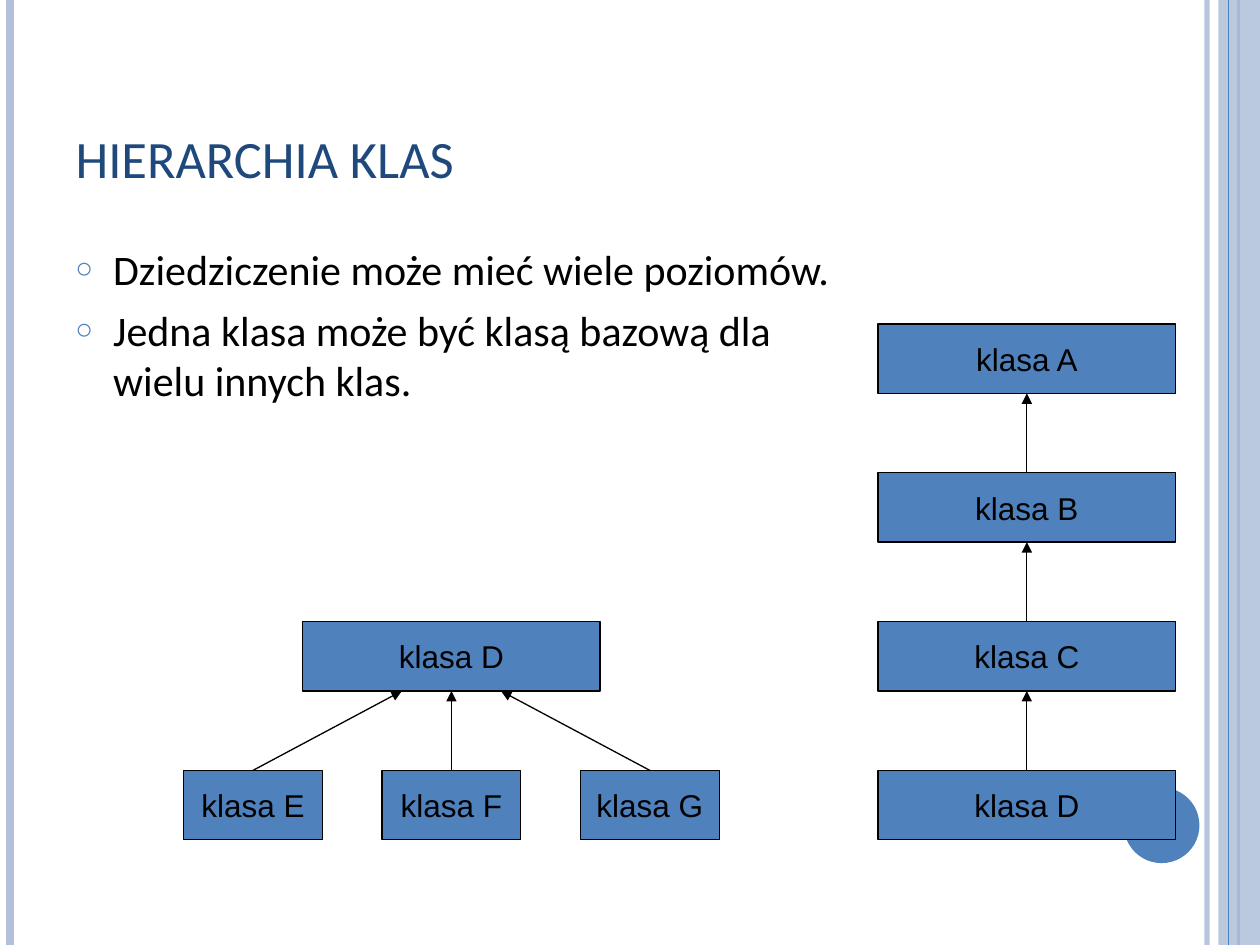
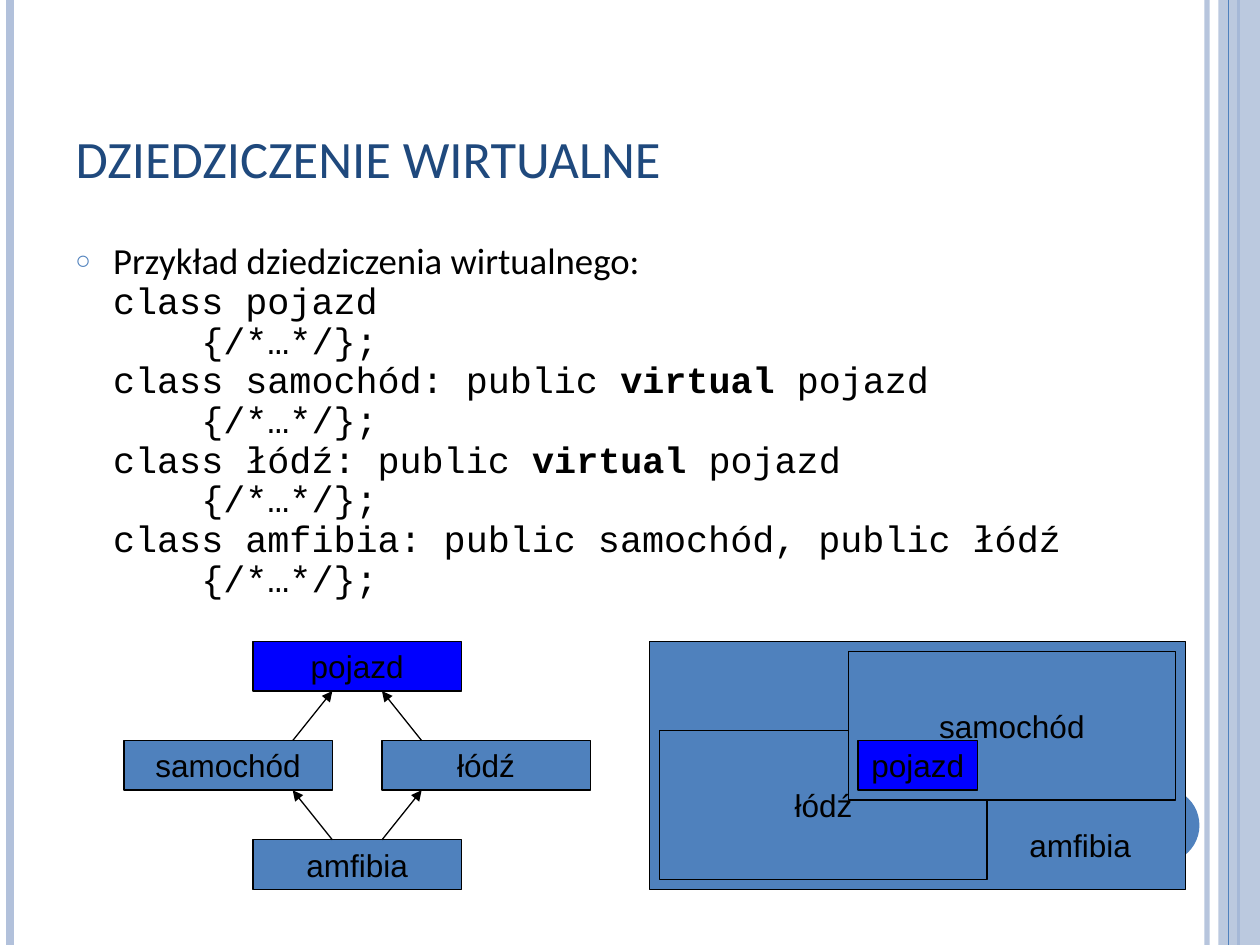
from lxml.etree import SubElement
from pptx import Presentation
from pptx.dml.color import RGBColor
from pptx.enum.shapes import MSO_CONNECTOR, MSO_SHAPE
from pptx.enum.text import MSO_ANCHOR as Anchor, MSO_AUTO_SIZE as AutoSize, PP_ALIGN as Align
from pptx.oxml.ns import qn
from pptx.util import Inches, Mm, Pt

NAVY = RGBColor(0x1F, 0x49, 0x7D)
BLUE = RGBColor(0x4F, 0x81, 0xBD)
PALE = RGBColor(0xB2, 0xC1, 0xDB)
VIVID = RGBColor(0x00, 0x00, 0xFF)
BLACK = RGBColor(0x00, 0x00, 0x00)

CELL = Mm(2)
COLUMNS, ROWS = 127, 95.25
COLUMN_START, ROW_START = 0.5, 0.65  # grid origin, in cells from the slide corner
TITLE_AREA = (5.85, 3.16, 103.76, 15.88)
BODY_LEFT, BODY_TOP = 5.85, 23.23
TEXT_INDENT = Inches(0.3)
CODE_INDENT = Inches(1)


def set_opacity(element, percent):
    for color in element.iter(qn("a:srgbClr")):
        SubElement(color, qn("a:alpha"), val=str(percent * 1000))


def set_font(paragraph, name, size, color=BLACK):
    font = paragraph.font
    font.name, font.size, font.color.rgb = name, Pt(size), color


class Deck:
    def __init__(self):
        self.presentation = Presentation()
        self.presentation.slide_width = int(COLUMNS * CELL)
        self.presentation.slide_height = int(ROWS * CELL)
        self.layout = self.presentation.slide_layouts[5]
        self.slide = None

    def x(self, column):
        return int((column + COLUMN_START) * CELL)

    def y(self, row):
        return int((row + ROW_START) * CELL)

    def area(self, column, row, width, height):
        return self.x(column), self.y(row), int(width * CELL), int(height * CELL)

    def add_slide(self, heading):
        first = self.slide is None
        self.slide = self.presentation.slides.add_slide(self.layout)
        if first:
            self.decorate_layout()
        title = self.slide.shapes.title
        title.left, title.top, title.width, title.height = self.area(*TITLE_AREA)
        frame = title.text_frame
        frame.text = heading
        frame.vertical_anchor = Anchor.BOTTOM
        frame.auto_size = AutoSize.NONE
        paragraph = frame.paragraphs[0]
        paragraph.alignment = Align.LEFT
        set_font(paragraph, "Calibri", 30, NAVY)

    def decorate_layout(self):
        """Draw the side bands once and move them to the shared layout."""
        for placeholder in list(self.layout.placeholders):
            if placeholder.placeholder_format.idx != 0:
                placeholder.element.getparent().remove(placeholder.element)
        inner = self.stripe(121.17, PALE, 3)
        set_opacity(inner.element, 93)
        left = self.stripe(0.55, PALE, 4.5)
        outer = self.stripe(124.34, BLUE, 1.5)
        band = self.shape(MSO_SHAPE.RECTANGLE, (122.31, -ROW_START, 4.19, ROWS), PALE)
        set_opacity(band.element, 87)
        thin = self.stripe(123.33, BLUE, 0.75)
        disc = self.shape(MSO_SHAPE.OVAL, (112.78, 78.73, 7.62, 7.62), BLUE)
        for part in (inner, left, outer, band, thin, disc):
            self.layout.shapes.element.append(part.element)

    def line(self, start, end, color=BLACK, width=0.75):
        connector = self.slide.shapes.add_connector(MSO_CONNECTOR.STRAIGHT, *start, *end)
        connector.line.color.rgb = color
        connector.line.width = Pt(width)
        SubElement(connector.element.spPr, qn("a:effectLst"))
        return connector

    def stripe(self, column, color, width):
        x = self.x(column)
        return self.line((x, 0), (x, self.presentation.slide_height), color, width)

    def shape(self, kind, cells, fill):
        shape = self.slide.shapes.add_shape(kind, *self.area(*cells))
        shape.shadow.inherit = False
        shape.fill.solid()
        shape.fill.fore_color.rgb = fill
        shape.line.fill.background()
        return shape

    def box(self, label, column, row, width, height, fill=BLUE):
        box = self.shape(MSO_SHAPE.RECTANGLE, (column, row, width, height), fill)
        box.line.color.rgb = BLACK
        box.line.width = Pt(0.75)
        if label:
            frame = box.text_frame
            frame.text = label
            frame.word_wrap = False
            frame.vertical_anchor = Anchor.MIDDLE
            frame.paragraphs[0].alignment = Align.CENTER
            set_font(frame.paragraphs[0], "Arial", 18)
        return box

    def arrow(self, child, parent, child_shift=0, parent_shift=0):
        """Point from a child's top to its parent's bottom; shifts are columns from the middle."""
        start = (child.left + child.width // 2 + int(child_shift * CELL), child.top)
        end = (parent.left + parent.width // 2 + int(parent_shift * CELL),
               parent.top + parent.height)
        connector = self.line(start, end)
        SubElement(connector.element.spPr.find(qn("a:ln")), qn("a:tailEnd"), type="triangle")
        if child_shift == 0:
            connector.begin_connect(child, 0)
        if parent_shift == 0:
            connector.end_connect(parent, 2)

    def text_area(self, *cells):
        frame = self.slide.shapes.add_textbox(*self.area(*cells)).text_frame
        frame.word_wrap = True
        return frame

    def caption(self, text, *cells):
        frame = self.text_area(*cells)
        frame.text = text
        set_font(frame.paragraphs[0], "Arial", 18)

    def body(self, width, height):
        return self.text_area(BODY_LEFT, BODY_TOP, width, height)

    def next_paragraph(self, frame):
        last = frame.paragraphs[-1]
        return frame.add_paragraph() if last.runs else last

    def bullet(self, frame, text, size, spacing=1.0):
        paragraph = self.next_paragraph(frame)
        paragraph.add_run().text = text
        paragraph.space_before = Pt(6)
        paragraph.line_spacing = spacing
        properties = paragraph._p.get_or_add_pPr()
        properties.set("marL", str(TEXT_INDENT))
        properties.set("indent", str(-TEXT_INDENT))
        SubElement(SubElement(properties, qn("a:buClr")), qn("a:srgbClr"), val=str(BLUE))
        SubElement(properties, qn("a:buSzPct"), val="70000")
        SubElement(properties, qn("a:buFont"), typeface="Arial")
        SubElement(properties, qn("a:buChar"), char="○")
        set_font(paragraph, "Calibri", size)

    def code(self, frame, text, size, indent, keyword="virtual"):
        """Add one line of code with the keyword in bold."""
        paragraph = self.next_paragraph(frame)
        for part in filter(None, text.partition(keyword)):
            run = paragraph.add_run()
            run.text = part
            if part == keyword:
                run.font.bold = True
        paragraph.space_before = Pt(0)
        paragraph.line_spacing = 0.9
        properties = paragraph._p.get_or_add_pPr()
        properties.set("marL", str(indent))
        properties.set("indent", "0")
        SubElement(properties, qn("a:buNone"))
        set_font(paragraph, "Courier New", size)


def build_hierarchy(deck):
    deck.add_slide("HIERARCHIA KLAS")
    points = deck.body(79.12, 30.73)
    deck.bullet(points, "Dziedziczenie może mieć wiele poziomów.", 24)
    deck.bullet(points, "Jedna klasa może być klasą bazową dla wielu innych klas.", 24)

    chain = [deck.box(f"klasa {letter}", 88, 32 + 15 * level, 30, 7)
             for level, letter in enumerate("ABCD")]
    for parent, child in zip(chain, chain[1:]):
        deck.arrow(child, parent)

    base = deck.box("klasa D", 30, 62, 30, 7)
    for index, letter in enumerate("EFG"):
        derived = deck.box(f"klasa {letter}", 18 + 20 * index, 77, 14, 7)
        deck.arrow(derived, base, parent_shift=5 * (index - 1))


def build_virtual_inheritance(deck):
    deck.add_slide("DZIEDZICZENIE WIRTUALNE")
    example = deck.body(114.3, 37.72)
    deck.bullet(example, "Przykład dziedziczenia wirtualnego:", 21, spacing=0.9)
    for declaration in ("class pojazd",
                        "class samochód: public virtual pojazd",
                        "class łódź: public virtual pojazd",
                        "class amfibia: public samochód, public łódź"):
        deck.code(example, declaration, 21, TEXT_INDENT)
        deck.code(example, "{/*…*/};", 21, CODE_INDENT)

    vehicle = deck.box("pojazd", 25, 64, 21, 5, VIVID)
    boat = deck.box("łódź", 38, 74, 21, 5)
    car = deck.box("samochód", 12, 74, 21, 5)
    amphibian = deck.box("amfibia", 25, 84, 21, 5)
    for side, middle in ((1, boat), (-1, car)):
        deck.arrow(amphibian, middle, 2.5 * side, -6.5 * side)
        deck.arrow(middle, vehicle, -6.5 * side, 2.5 * side)

    deck.box("", 65, 64, 54, 25)
    deck.box("łódź", 66, 73, 33, 15)
    deck.box("samochód", 85, 65, 33, 15)
    deck.box("pojazd", 86, 74, 12, 5, VIVID)
    deck.caption("amfibia", 102, 82, 15, 5.1)


def main():
    deck = Deck()
    build_hierarchy(deck)
    build_virtual_inheritance(deck)
    deck.presentation.save("out.pptx")


if __name__ == "__main__":
    main()
